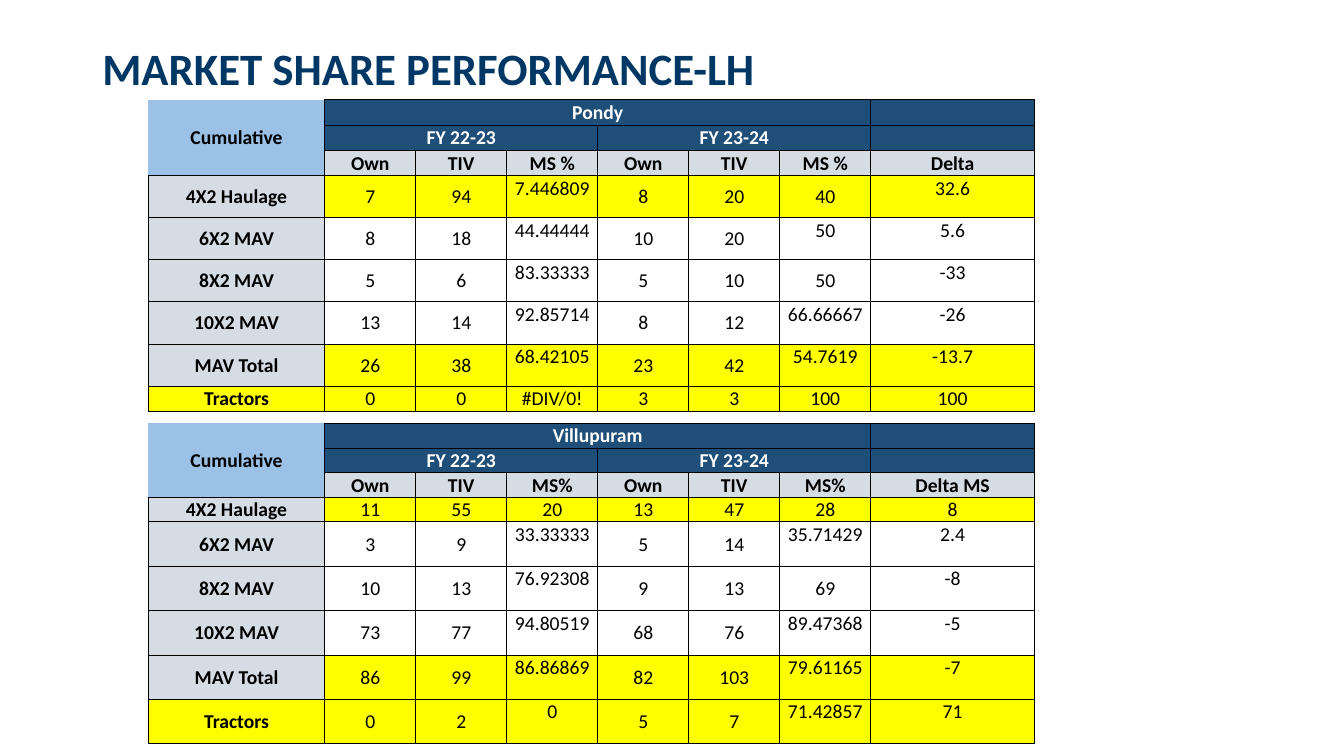
import lxml.etree
import pptx
import pptx.dml.color
import pptx.enum.text
import pptx.oxml.ns
import pptx.util

Pt = pptx.util.Pt
qn = pptx.oxml.ns.qn
ANCHOR = pptx.enum.text.MSO_ANCHOR
HEX = {"title": "003764", "navy": "1F4E78", "sky": "9BC2E6", "grey": "D6DCE4",
       "yellow": "FFFF00", "black": "000000", "white": "FFFFFF"}
WIDTHS = [126, 65, 65, 65, 65, 65, 65, 117]
YEARS = ["", "FY 22-23", "", "", "FY 23-24", "", "", ""]
NAMES = ["4X2 Haulage", "6X2 MAV", "8X2 MAV", "10X2 MAV", "MAV Total", "Tractors"]
MERGES = [(0, 0, 2, 0), (0, 1, 0, 6), (1, 1, 1, 3), (1, 4, 1, 6)]

# region, top, share label, delta label, row heights, figures
REGIONS = [
    ("Pondy", 71.3, "MS %", "Delta", [18] * 3 + [30.1] * 5 + [18], [
        "7 94 7.446809 8 20 40 32.6",
        "8 18 44.44444 10 20 50 5.6",
        "5 6 83.33333 5 10 50 -33",
        "13 14 92.85714 8 12 66.66667 -26",
        "26 38 68.42105 23 42 54.7619 -13.7",
        "0 0 #DIV/0! 3 3 100 100"]),
    ("Villupuram", 302.4, "MS%", "Delta MS", [17.6] * 4 + [31.7] * 5, [
        "11 55 20 13 47 28 8",
        "3 9 33.33333 5 14 35.71429 2.4",
        "10 13 76.92308 9 13 69 -8",
        "73 77 94.80519 68 76 89.47368 -5",
        "86 99 86.86869 82 103 79.61165 -7",
        "0 2 0 5 7 71.42857 71"]),
]


def write(para, text, size, color, bold):
    run = para.add_run()
    run.text = text
    run.font.name = "Calibri"
    run.font.size = Pt(size)
    run.font.bold = bold
    run.font.color.rgb = pptx.dml.color.RGBColor.from_string(HEX[color])


def edge(cell, sides):
    """Draw thin black borders on the given sides and none on the others."""
    props = cell._tc.get_or_add_tcPr()
    for side in "LRTB":
        line = lxml.etree.SubElement(props, qn("a:ln" + side), w=str(Pt(0.5)))
        if side in sides:
            fill = lxml.etree.SubElement(line, qn("a:solidFill"))
            lxml.etree.SubElement(fill, qn("a:srgbClr"), val=HEX["black"])
        else:
            lxml.etree.SubElement(line, qn("a:noFill"))


deck = pptx.Presentation()
deck.slide_width, deck.slide_height = Pt(960), Pt(540)
slide = deck.slides.add_slide(deck.slide_layouts[6])

box = slide.shapes.add_textbox(Pt(66), Pt(28.8), Pt(805), Pt(42.5))
frame = box.text_frame
frame.word_wrap = True
frame.vertical_anchor = ANCHOR.BOTTOM
frame.paragraphs[0].line_spacing = 0.9
write(frame.paragraphs[0], "MARKET SHARE PERFORMANCE-LH", 32, "title", True)

for region, top, share, delta, heights, figures in REGIONS:
    rows = [["Cumulative", region] + [""] * 6, YEARS,
            [""] + ["Own", "TIV", share] * 2 + [delta]]
    rows += [[name] + line.split() for name, line in zip(NAMES, figures)]
    table = slide.shapes.add_table(len(rows), len(WIDTHS), Pt(106), Pt(top),
                                   Pt(sum(WIDTHS)), Pt(sum(heights))).table
    table.first_row = table.horz_banding = False
    for col, width in zip(table.columns, WIDTHS):
        col.width = Pt(width)
    for row, height in zip(table.rows, heights):
        row.height = Pt(height)

    for r, row in enumerate(rows):
        for c, text in enumerate(row):
            cell = table.cell(r, c)
            corner = r < 3 and c == 0
            edge(cell, "RB" if corner else "LRTB")
            if corner:
                fill = "sky"
            elif r < 2:
                fill = "navy"
            elif r == 2 or (c == 0 and r < 8):
                fill = "grey"
            else:
                fill = "yellow" if r in (3, 7, 8) else None
            if fill:
                cell.fill.solid()
                cell.fill.fore_color.rgb = pptx.dml.color.RGBColor.from_string(HEX[fill])
            else:
                cell.fill.background()

            cell.margin_left = cell.margin_right = cell.margin_top = Pt(0.7)
            cell.margin_bottom = Pt(0)
            high = r > 2 and (c in (3, 7) or (c == 6 and r not in (3, 5)))
            cell.vertical_anchor = ANCHOR.TOP if high else ANCHOR.MIDDLE
            para = cell.text_frame.paragraphs[0]
            para.alignment = pptx.enum.text.PP_ALIGN.CENTER
            if text:
                write(para, text, 14, "white" if fill == "navy" else "black",
                      r < 3 or c == 0)
            else:
                lxml.etree.SubElement(para._p, qn("a:endParaRPr"), sz="1400")

    for r1, c1, r2, c2 in MERGES:
        table.cell(r1, c1).merge(table.cell(r2, c2))

deck.save("out.pptx")
